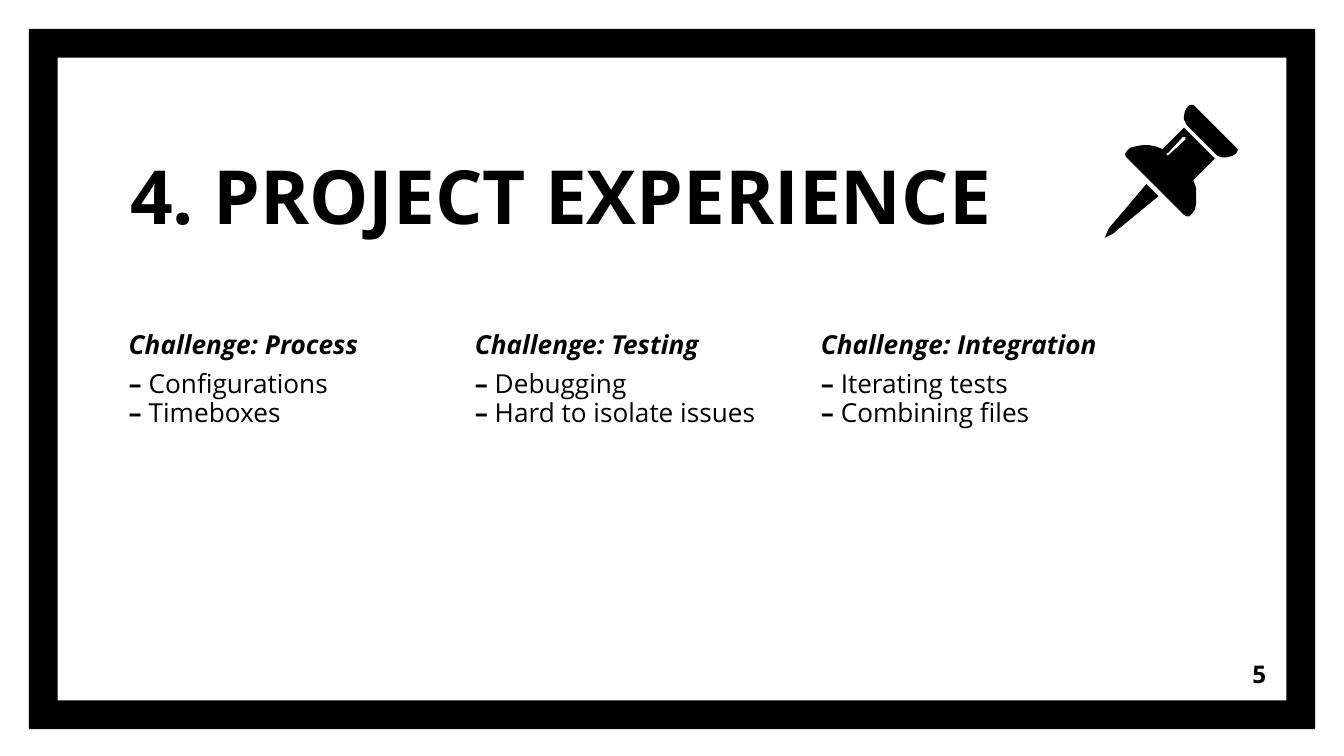
from pptx import Presentation
from pptx import util as u
from pptx.dml.color import RGBColor
from pptx.enum import shapes, text

CELL = u.Inches(0.1)
FINE = 10


def color(code):
    return RGBColor.from_string(code)


class Deck:
    font = "Open Sans"
    ink = "000000"

    def __init__(self, cols, rows):
        self.show = Presentation()
        self.show.slide_width = int(cols * CELL)
        self.show.slide_height = int(rows * CELL)
        self.slide = self.show.slides.add_slide(self.show.slide_layouts[6])

    def grid(self, *cells):
        return [int(n * CELL) for n in cells]

    def paint(self, shape):
        shape.shadow.inherit = False
        shape.fill.solid()
        shape.fill.fore_color.rgb = color(self.ink)
        shape.line.fill.background()

    def frame(self, box, edge):
        shape = self.slide.shapes.add_shape(
            shapes.MSO_SHAPE.FRAME, *self.grid(*box))
        shape.adjustments[0] = edge
        self.paint(shape)

    def outline(self, *loops):
        fine = [[(round(x * FINE), round(y * FINE)) for x, y in loop]
                for loop in loops]
        pen = self.slide.shapes.build_freeform(*fine[0][0], scale=CELL / FINE)
        for turn, loop in enumerate(fine):
            if turn:
                pen.move_to(*loop[0])
            pen.add_line_segments(loop[1:], close=True)
        self.paint(pen.convert_to_shape())

    def words(self, box, paras, anchor="TOP", align="LEFT", **form):
        frame = self.slide.shapes.add_textbox(*self.grid(*box)).text_frame
        frame.word_wrap = True
        frame.vertical_anchor = text.MSO_ANCHOR[anchor]
        for side in ("left", "top", "right", "bottom"):
            setattr(frame, f"margin_{side}", CELL)
        for n, lines in enumerate(paras):
            para = frame.add_paragraph() if n else frame.paragraphs[0]
            para.alignment = text.PP_ALIGN[align]
            for name, value in form.items():
                setattr(para, name, value)
            for row, runs in enumerate(lines):
                if row:
                    para.add_line_break()
                for label, size, style in runs:
                    self.run(para, label, size, style)

    def run(self, para, label, size, style):
        run = para.add_run()
        run.text = label
        look = {"name": self.font, "size": u.Pt(size),
                "bold": "b" in style, "italic": "i" in style}
        for name, value in look.items():
            setattr(run.font, name, value)
        run.font.color.rgb = color(self.ink)

    def topic(self, box, head, items):
        lines = [[("–", 14, "b"), (f" {item}", 14, "")] for item in items]
        self.words(box, [[[(head, 14, "bi")]], lines],
                   space_before=u.Pt(6), line_spacing=0.9)

    def pin(self):
        self.outline([(85.3, 13.7), (82.5, 17), (82.2, 17.7),
                      (82.8, 17.4), (86.2, 14.6)])
        self.outline([(88.6, 7.8), (88.4, 7.9), (88.2, 8.2), (88.1, 8.6),
                      (88.1, 8.9), (88.3, 9.3), (90.6, 11.6), (90.9, 11.7),
                      (91.3, 11.7), (91.7, 11.6), (92, 11.4), (92.1, 11.2),
                      (92.1, 11.1), (92, 11), (88.9, 7.9), (88.8, 7.8)])
        self.outline(
            [(88.1, 9.5), (86.5, 11.1), (86, 10.9), (85.5, 10.8),
             (85, 10.8), (84.5, 10.9), (84.1, 11), (83.8, 11.3),
             (83.7, 11.5), (83.8, 11.7), (88.1, 16), (88.3, 16.1),
             (88.5, 16.1), (88.7, 15.9), (88.9, 15.6), (89, 15.2),
             (89, 14.7), (89, 14), (88.9, 13.7), (88.8, 13.4), (90.4, 11.8)],
            [(88.1, 10.2), (88, 10.2), (86.9, 11.4), (86.8, 11.4),
             (86.8, 11.5), (86.9, 11.6), (87, 11.5), (88.2, 10.4),
             (88.2, 10.2)])


TOPICS = [
    ("Challenge: Process", ["Configurations", "Timeboxes"]),
    ("Challenge: Testing", ["Debugging", "Hard to isolate issues"]),
    ("Challenge: Integration", ["Iterating tests", "Combining files"]),
]


def main():
    deck = Deck(100, 56.25)
    deck.frame((2.15, 2.15, 95.7, 52.1), 0.041)
    deck.words((8.7, 10.9, 72.7, 8.4),
               [[[("4. PROJECT EXPERIENCE", 40, "b")]]], line_spacing=0.9)
    deck.pin()
    deck.words((89.2, 48, 6, 4.3), [[[("5", 13, "b")]]], "MIDDLE", "RIGHT")
    for n, (head, items) in enumerate(TOPICS):
        deck.topic((8.6 + 25.75 * n, 23.7, 24.3, 10.4), head, items)
    deck.show.save("out.pptx")


if __name__ == "__main__":
    main()
